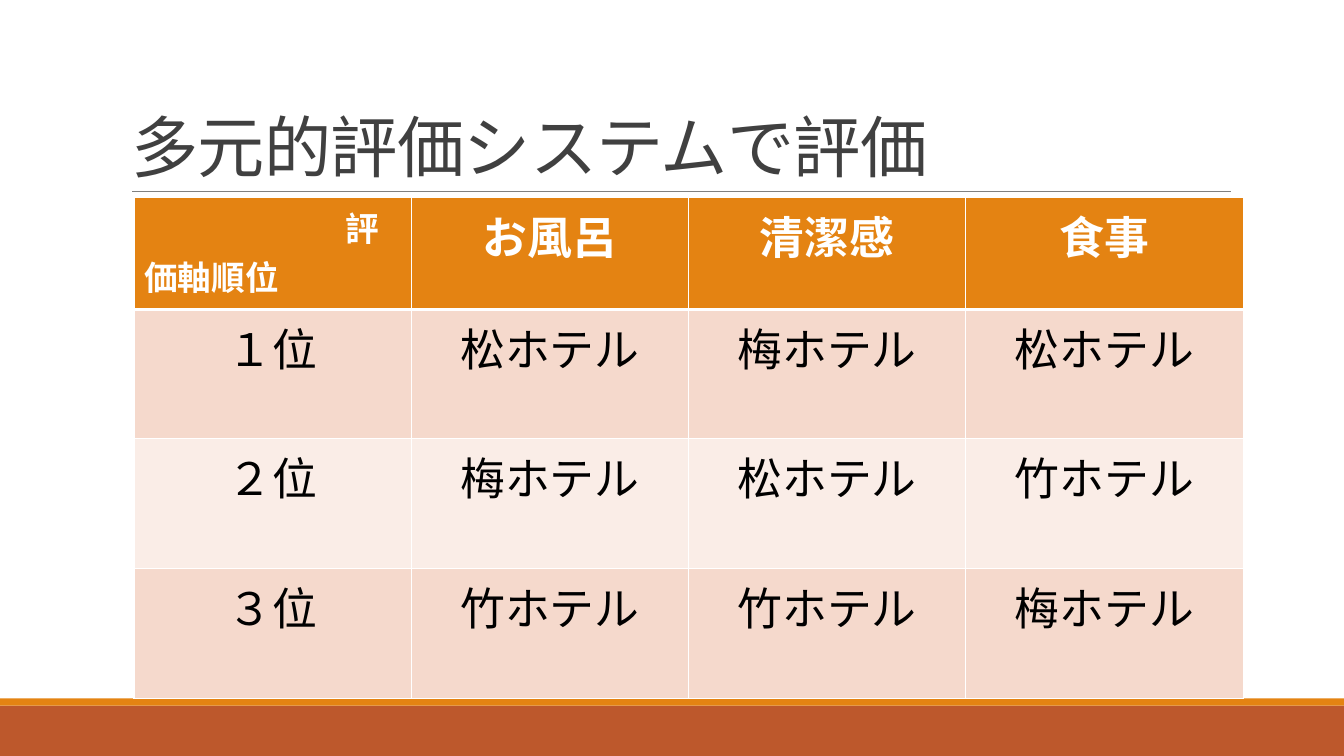
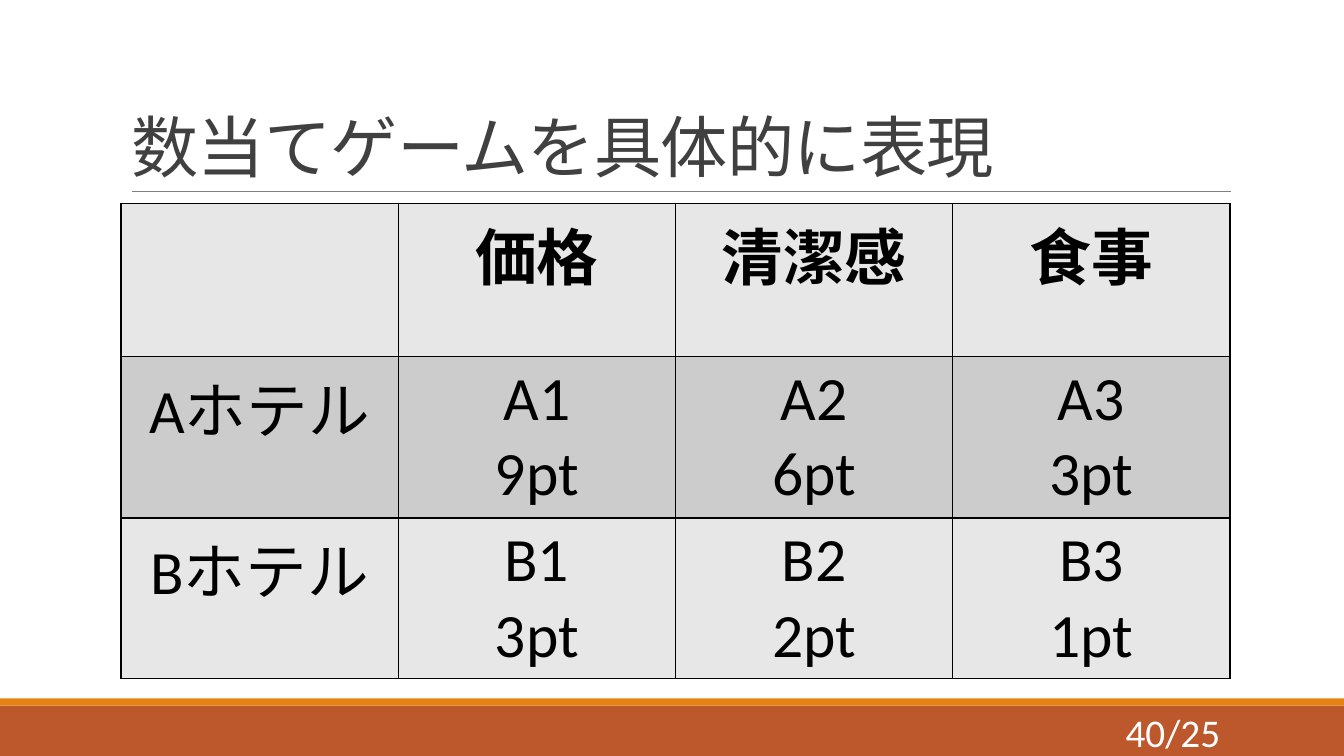
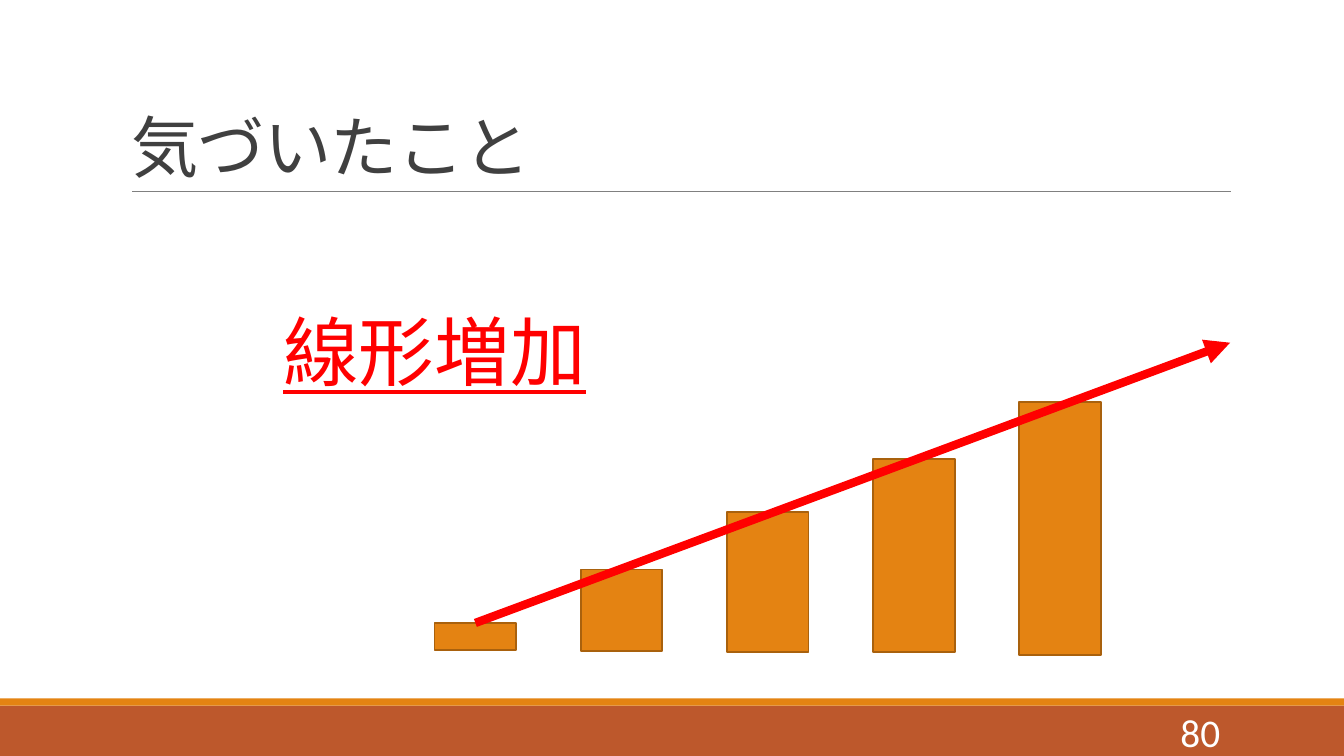
from dataclasses import dataclass, field
from typing import Any

import pptx
import pptx.dml.color
import pptx.enum.shapes
import pptx.enum.text
import pptx.oxml
import pptx.oxml.ns
import pptx.util
from pptx.util import Inches, Pt

ALIGN = pptx.enum.text.PP_ALIGN
ANCHOR = pptx.enum.text.MSO_ANCHOR
RECTANGLE = pptx.enum.shapes.MSO_SHAPE.RECTANGLE
STRAIGHT = pptx.enum.shapes.MSO_CONNECTOR.STRAIGHT

COLORS = {
    "orange": "E48312",
    "orange_edge": "A9610D",
    "rust": "BD582C",
    "rule": "808080",
    "title": "404040",
    "white": "FFFFFF",
    "black": "000000",
    "red": "FF0000",
    "peach": "F5D9CC",
    "pale_peach": "FAEDE7",
    "gray": "CCCCCC",
    "pale_gray": "E7E7E7",
}
FONT = "Calibri"
SLIDE_WIDTH = 13.33
TITLE_BOX = (1.2, 0.31, 11, 1.59)
NUMBER_BOX = (9.43, 7.06, 2.77, 0.4)
COLUMN_WIDTH = 2.75
BAR_LEFT, BAR_STEP, BAR_WIDTH = 4.31, 1.45, 0.81


@dataclass(frozen=True)
class Bar:
    top: float
    height: float


@dataclass(frozen=True)
class Grid:
    left: float
    top: float
    row_heights: list[float]
    row_fills: list[str]
    cells: list[list[str]]
    size: float
    header_color: str
    border: str
    header_rule: float = 1
    corner: dict[str, Any] = field(default_factory=dict)


BARS = [Bar(6.18, 0.27), Bar(5.65, 0.81), Bar(5.08, 1.39), Bar(4.55, 1.92), Bar(3.99, 2.51)]

RANKING = Grid(
    left=1.33, top=1.96,
    row_heights=[1.11, 1.28, 1.29, 1.29],
    row_fills=["orange", "peach", "pale_peach", "peach"],
    cells=[
        ["評価軸順位", "お風呂", "清潔感", "食事"],
        ["１位", "松ホテル", "梅ホテル", "松ホテル"],
        ["２位", "梅ホテル", "松ホテル", "竹ホテル"],
        ["３位", "竹ホテル", "竹ホテル", "梅ホテル"],
    ],
    size=32, header_color="white", border="white", header_rule=3,
    corner={"size": 24, "align": ALIGN.LEFT, "indent": 2},
)

SCORES = Grid(
    left=1.2, top=2.02,
    row_heights=[1.52, 1.6, 1.59],
    row_fills=["pale_gray", "gray", "pale_gray"],
    cells=[
        ["", "価格", "清潔感", "食事"],
        ["Aホテル", "A1\n9pt", "A2\n6pt", "A3\n3pt"],
        ["Bホテル", "B1\n3pt", "B2\n2pt", "B3\n1pt"],
    ],
    size=44, header_color="black", border="black",
)


def rgb(name: str) -> pptx.dml.color.RGBColor:
    return pptx.dml.color.RGBColor.from_string(COLORS[name])


def write(frame: Any, text: str, color: str, size: float, align: Any = ALIGN.LEFT,
          indent: float = 0, **extras: Any) -> None:
    """Fill a text frame, one paragraph per line of text."""
    frame.text = text
    formats = {"name": FONT, "size": Pt(size), **extras}
    for para in frame.paragraphs:
        para.alignment = align
        if indent:
            para._p.get_or_add_pPr().set("indent", str(Inches(indent)))
        for span in para.runs:
            for key, value in formats.items():
                setattr(span.font, key, value)
            span.font.color.rgb = rgb(color)


def add_text(page: Any, place: tuple[float, ...], text: str, color: str, size: float,
             anchor: Any = ANCHOR.TOP, **formats: Any) -> None:
    box = page.shapes.add_textbox(*map(Inches, place))
    box.text_frame.word_wrap = True
    box.text_frame.vertical_anchor = anchor
    write(box.text_frame, text, color, size, **formats)


def add_rectangle(page: Any, place: tuple[float, ...], fill: str, edge: str = "") -> Any:
    shape = page.shapes.add_shape(RECTANGLE, *map(Inches, place))
    shape.shadow.inherit = False
    shape.fill.solid()
    shape.fill.fore_color.rgb = rgb(fill)
    if edge:
        shape.line.color.rgb = rgb(edge)
        shape.line.width = Pt(1.25)
    else:
        shape.line.fill.background()
    return shape


def add_line(page: Any, ends: tuple[float, ...], color: str, width: float) -> Any:
    line = page.shapes.add_connector(STRAIGHT, *map(Inches, ends))
    line.line.color.rgb = rgb(color)
    line.line.width = Pt(width)
    pptx.oxml.ns.qn("a:effectLst")
    line._element.spPr.append(
        pptx.oxml.parse_xml(f'<a:effectLst {pptx.oxml.ns.nsdecls("a")}/>'))
    return line


def add_page(deck: Any, title: str, number: str = "") -> Any:
    """Add a slide with its bands, ruled title and optional page number."""
    page = deck.slides.add_slide(deck.slide_layouts[5])
    add_rectangle(page, (0, 7, SLIDE_WIDTH, 0.5), "rust")
    add_rectangle(page, (0, 6.93, SLIDE_WIDTH, 0.07), "orange")
    add_line(page, (1.31, 1.9, 12.21, 1.9), "rule", 0.5)

    heading = page.shapes.title
    for side, value in zip(("left", "top", "width", "height"), TITLE_BOX):
        setattr(heading, side, Inches(value))
    frame = heading.text_frame
    frame.vertical_anchor = ANCHOR.BOTTOM
    write(frame, title, "title", 48)
    frame.paragraphs[0].line_spacing = 0.85
    frame.paragraphs[0].runs[0].font._element.set("spc", "-50")

    if number:
        add_text(page, NUMBER_BOX, number, "white", 28, ANCHOR.MIDDLE, align=ALIGN.RIGHT)
    return page


def add_borders(cell: Any, color: str, widths: dict[str, float]) -> None:
    for side, width in widths.items():
        cell._tc.get_or_add_tcPr().append(pptx.oxml.parse_xml(
            f'<a:ln{side} {pptx.oxml.ns.nsdecls("a")} w="{Pt(width)}"><a:solidFill>'
            f'<a:srgbClr val="{COLORS[color]}"/></a:solidFill></a:ln{side}>'))


def add_grid(page: Any, grid: Grid) -> None:
    columns = len(grid.cells[0])
    place = (grid.left, grid.top, COLUMN_WIDTH * columns, sum(grid.row_heights))
    table = page.shapes.add_table(len(grid.cells), columns, *map(Inches, place)).table
    table.horz_banding = False
    table.first_row = False
    for column in table.columns:
        column.width = Inches(COLUMN_WIDTH)
    for r, texts in enumerate(grid.cells):
        table.rows[r].height = Inches(grid.row_heights[r])
        for c, text in enumerate(texts):
            cell = table.cell(r, c)
            top = grid.header_rule if r == 1 else 1
            bottom = grid.header_rule if r == 0 else 1
            add_borders(cell, grid.border, {"L": 1, "R": 1, "T": top, "B": bottom})
            cell.fill.solid()
            cell.fill.fore_color.rgb = rgb(grid.row_fills[r])
            formats = {"size": grid.size, "align": ALIGN.CENTER, "bold": r == 0}
            if r == c == 0:
                formats.update(grid.corner)
            write(cell.text_frame, text, "black" if r else grid.header_color, **formats)


def add_growth(page: Any) -> None:
    """Draw the rising bars, their caption and the arrow across them."""
    bars = [
        add_rectangle(page, (BAR_LEFT + i * BAR_STEP, bar.top, BAR_WIDTH, bar.height),
                      "orange", "orange_edge")
        for i, bar in enumerate(BARS)
    ]
    add_text(page, (2.28, 2.98, 4.06, 1.01), "線形増加", "red", 54,
             align=ALIGN.CENTER, underline=True)
    arrow = add_line(page, (4.71, 6.18, 12.2, 3.4), "red", 6)
    arrow.begin_connect(bars[0], 0)
    arrow.line._get_or_add_ln().append(pptx.oxml.parse_xml(
        f'<a:tailEnd {pptx.oxml.ns.nsdecls("a")} type="triangle"/>'))


def main() -> None:
    deck = pptx.Presentation()
    deck.slide_width = Inches(SLIDE_WIDTH)
    deck.slide_height = Inches(7.5)
    add_grid(add_page(deck, "多元的評価システムで評価"), RANKING)
    add_grid(add_page(deck, "数当てゲームを具体的に表現", "40/25"), SCORES)
    add_growth(add_page(deck, "気づいたこと", "80"))
    deck.save("out.pptx")


if __name__ == "__main__":
    main()
